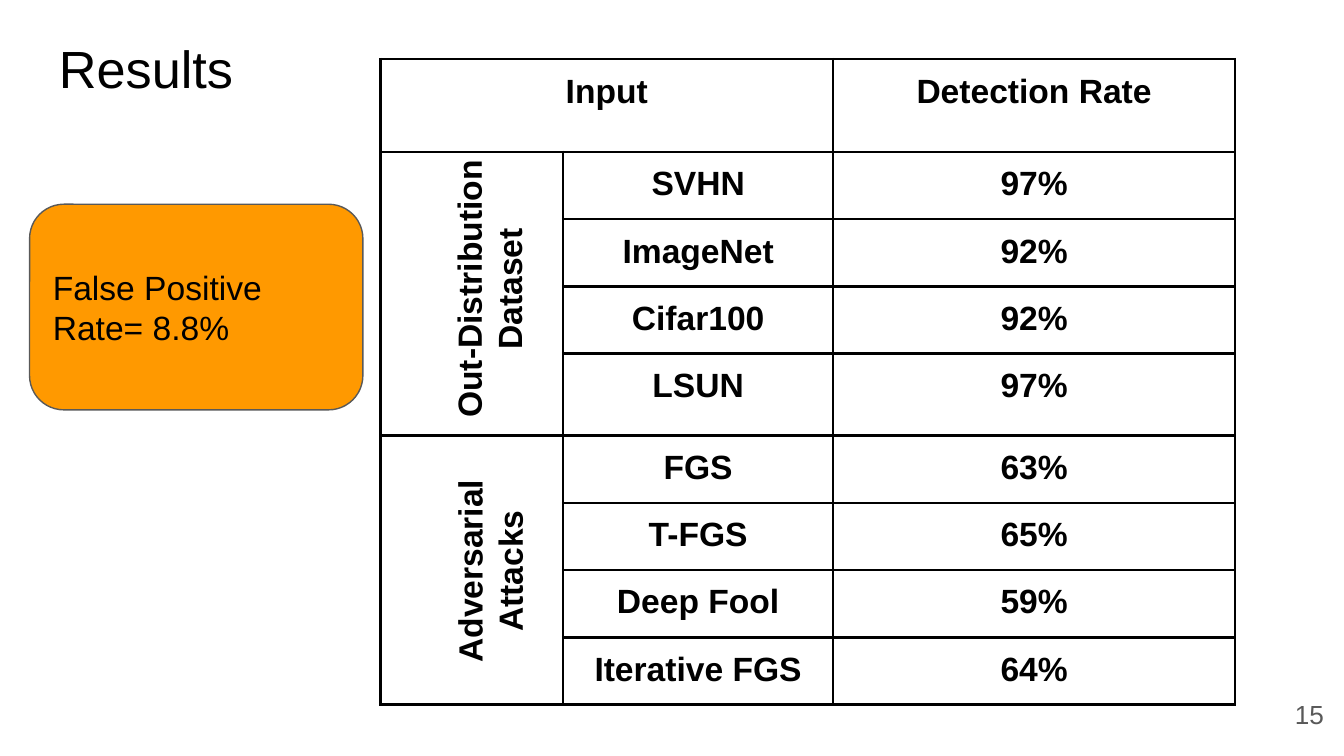
from dataclasses import dataclass

from lxml import etree
from pptx import Presentation
from pptx.dml.color import RGBColor
from pptx.enum import shapes, text
from pptx.oxml.ns import qn
from pptx.util import Inches, Pt


@dataclass(frozen=True)
class Theme:
    font: str = "Arial"
    title: int = 28
    body: int = 18
    number: int = 14
    black: str = "000000"
    grey: str = "595959"
    orange: str = "FF9900"


theme = Theme()


def write(owner, content, size=theme.body, color=theme.black, bold=False, align=None):
    """Fill a shape or table cell with one styled paragraph and even margins."""
    tf = owner.text_frame
    if hasattr(owner, "margin_left"):
        box = owner  # a table cell keeps its own margins
    else:
        box = tf
        tf.word_wrap = True
    box.margin_left = box.margin_right = box.margin_top = box.margin_bottom = Inches(0.1)
    tf.text = content
    p = tf.paragraphs[0]
    p.alignment = align
    p.font.size = Pt(size)
    for r in p.runs:
        r.font.name = theme.font
        r.font.size = Pt(size)
        r.font.bold = bold
        r.font.color.rgb = RGBColor.from_string(color)


def add_borders(cell):
    tc_pr = cell._tc.get_or_add_tcPr()
    for i, side in enumerate(("lnL", "lnR", "lnT", "lnB")):
        ln = etree.Element(qn(f"a:{side}"), w=str(Pt(1.5)))
        fill = etree.SubElement(ln, qn("a:solidFill"))
        etree.SubElement(fill, qn("a:srgbClr"), val=theme.black)
        tc_pr.insert(i, ln)


prs = Presentation()
prs.slide_width = Inches(10)
prs.slide_height = Inches(10 * 9 / 16)
s = prs.slides.add_slide(prs.slide_layouts[6])

title = s.shapes.add_textbox(Inches(0.34), Inches(0.17), Inches(9.32), Inches(0.63))
write(title, "Results", theme.title)

number = s.shapes.add_textbox(Inches(9.35), Inches(5.1), Inches(0.6), Inches(0.43))
write(number, "15", theme.number, theme.grey, align=text.PP_ALIGN.RIGHT)
number.text_frame.vertical_anchor = text.MSO_ANCHOR.MIDDLE

# Results table: the first column holds the two input groups
rows = [
    ("Input", "", "Detection Rate"),
    ("", "SVHN", "97%"),
    ("", "ImageNet", "92%"),
    ("", "Cifar100", "92%"),
    ("", "LSUN", "97%"),
    ("", "FGS", "63%"),
    ("", "T-FGS", "65%"),
    ("", "Deep Fool", "59%"),
    ("", "Iterative FGS", "64%"),
]
col_widths = [1.36, 2.01, 2.99]
row_heights = [0.69] + [0.45] * 3 + [0.61] + [0.45] * 4
frame = s.shapes.add_table(len(rows), len(col_widths), Inches(2.83), Inches(0.44),
                           Inches(sum(col_widths)), Inches(sum(row_heights)))
table = frame.table
table.first_row = table.horz_banding = False
for column, width in zip(table.columns, col_widths):
    column.width = Inches(width)
for row, height, values in zip(table.rows, row_heights, rows):
    row.height = Inches(height)
    for cell, value in zip(row.cells, values):
        write(cell, value, bold=True, align=text.PP_ALIGN.CENTER)
        cell.fill.background()
        add_borders(cell)
table.cell(0, 0).merge(table.cell(0, 1))
for first in (1, 5):
    table.cell(first, 0).merge(table.cell(first + 3, 0))

# Group names, turned to read upwards
for name, left, top, width in [
    ("Adversarial Attacks", 2.71, 3.77, 2.02),
    ("Out-Distribution Dataset", 2.63, 1.67, 2.17),
]:
    group = s.shapes.add_textbox(Inches(left), Inches(top), Inches(width), Inches(0.96))
    group.rotation = 270
    write(group, name, bold=True, align=text.PP_ALIGN.CENTER)

callout = s.shapes.add_shape(shapes.MSO_SHAPE.ROUNDED_RECTANGLE,
                             Inches(0.22), Inches(1.52), Inches(2.48), Inches(1.53))
callout.shadow.inherit = False
callout.fill.solid()
callout.fill.fore_color.rgb = RGBColor.from_string(theme.orange)
callout.line.color.rgb = RGBColor.from_string(theme.grey)
callout.line.width = Pt(0.75)
write(callout, "False Positive Rate= 8.8%", align=text.PP_ALIGN.LEFT)
callout.text_frame.vertical_anchor = text.MSO_ANCHOR.MIDDLE

prs.save("out.pptx")
